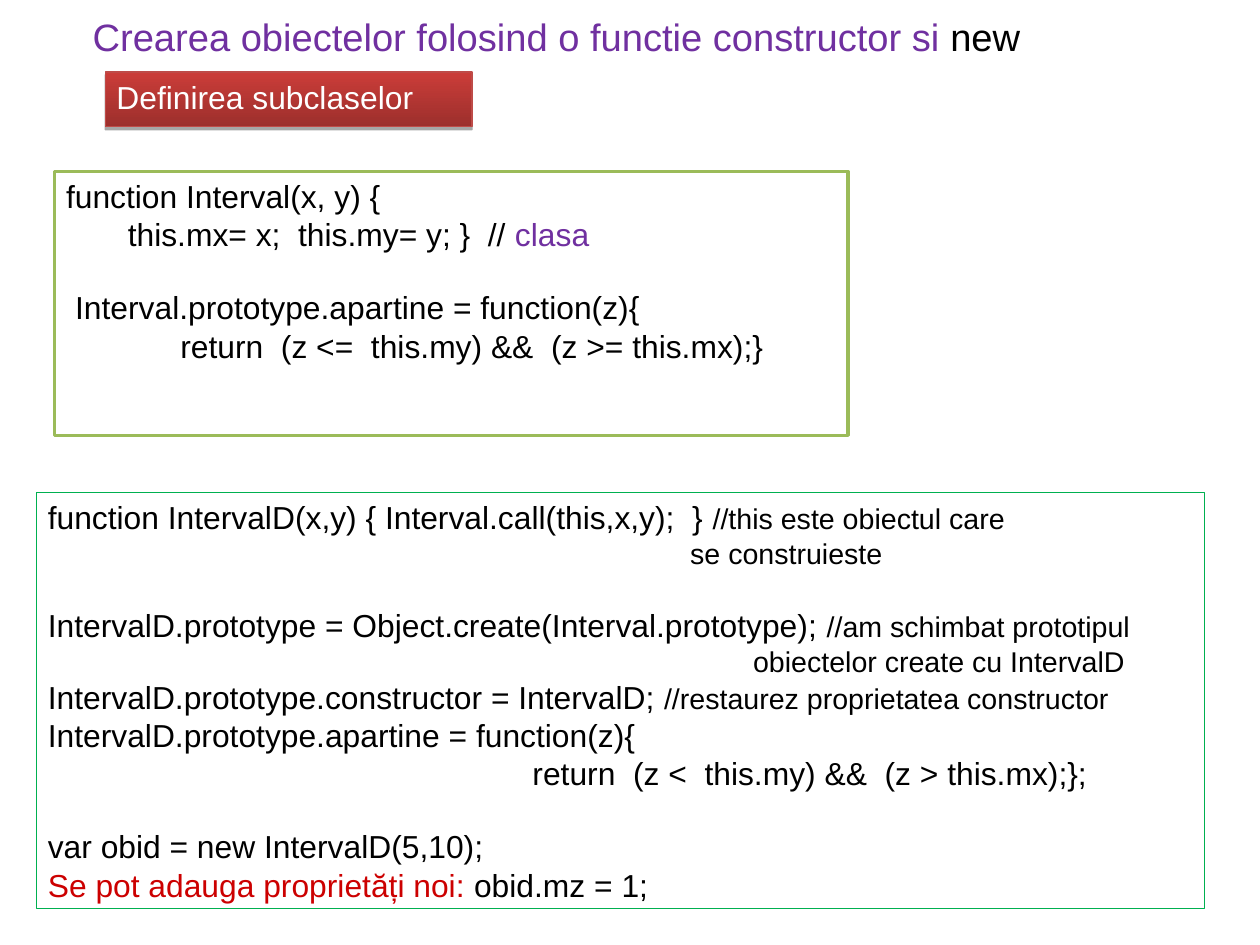
from pptx import Presentation
from pptx import util as u
from pptx.dml.color import RGBColor
from pptx.enum import shapes, text
from pptx.oxml import parse_xml
from pptx.oxml.ns import nsdecls

BLACK, PURPLE, RED, WHITE = "000000", "7030A0", "CC0000", "FFFFFF"
BLANK = 22  # height of an empty line, in points
CM_PER_INCH = 2.54

# Each line: indent in inches, space before in points, runs (text, size, colour)
TITLE = [(0, 0, [("Crearea obiectelor folosind o functie constructor si ", 24, PURPLE),
                 ("new", 24, BLACK)])]
SUBTITLE = [(0, 0, [("Definirea subclaselor", 20, WHITE)])]
BASE_CLASS = [
    (0, 0, [("function Interval(x, y) {", 20, BLACK)]),
    (0.54, 0, [("this.mx= x;  this.my= y; }  // ", 20, BLACK), ("clasa", 20, PURPLE)]),
    (0.08, BLANK, [("Interval.prototype.apartine = function(z){", 20, BLACK)]),
    (1.0, 0, [("return  (z <=  this.my) &&  (z >= this.mx);}", 20, BLACK)]),
]
SUBCLASS = [
    (0, 0, [("function IntervalD(x,y) { Interval.call(this,x,y);  } ", 20, BLACK),
            ("//this este obiectul care", 18, BLACK)]),
    (5.62, 0, [("se construieste", 18, BLACK)]),
    (0, BLANK, [("IntervalD.prototype = Object.create(Interval.prototype); ", 20, BLACK),
                ("//am schimbat prototipul", 18, BLACK)]),
    (6.17, 0, [("obiectelor create cu IntervalD", 18, BLACK)]),
    (0, 0, [("IntervalD.prototype.constructor = IntervalD; ", 20, BLACK),
            ("//restaurez proprietatea constructor", 18, BLACK)]),
    (0, 0, [("IntervalD.prototype.apartine = function(z){", 20, BLACK)]),
    (4.24, 0, [("return  (z <  this.my) &&  (z > this.mx);};", 20, BLACK)]),
    (0, BLANK, [("var obid = new IntervalD(5,10);", 20, BLACK)]),
    (0, 0, [("Se pot adauga proprietăți noi:", 20, RED), (" obid.mz = 1;", 20, BLACK)]),
]

FRAME_FORMAT = {
    "word_wrap": True,
    "auto_size": text.MSO_AUTO_SIZE.NONE,
    "vertical_anchor": text.MSO_ANCHOR.TOP,
    "margin_left": u.Inches(0.1),
    "margin_right": u.Inches(0.1),
    "margin_top": u.Inches(0.05),
    "margin_bottom": u.Inches(0.05),
}


def paint(color_format, hex_color):
    color_format.rgb = RGBColor.from_string(hex_color)


def apply_format(target, values):
    for name, value in values.items():
        setattr(target, name, value)


def write_lines(frame, lines):
    apply_format(frame, FRAME_FORMAT)
    for number, (indent, gap, runs) in enumerate(lines):
        line = frame.add_paragraph() if number else frame.paragraphs[0]
        apply_format(line, {"alignment": text.PP_ALIGN.LEFT,
                            "space_before": u.Pt(gap)})
        properties = line._p.get_or_add_pPr()
        properties.set("marL", str(u.Inches(indent)))
        properties.set("indent", "0")
        for words, size, color in runs:
            run = line.add_run()
            run.text = words
            apply_format(run.font, {"name": "Arial", "size": u.Pt(size)})
            paint(run.font.color, color)


def add_title(slide, at, lines):
    title = slide.shapes.title
    places = map(u.Inches, at)
    apply_format(title, dict(zip(("left", "top", "width", "height"), places)))
    write_lines(title.text_frame, lines)


def add_box(slide, at, border, border_width, lines):
    box = slide.shapes.add_shape(shapes.MSO_SHAPE.RECTANGLE, *map(u.Inches, at))
    box.shadow.inherit = False
    box.fill.background()
    paint(box.line.color, border)
    box.line.width = u.Pt(border_width)
    write_lines(box.text_frame, lines)
    return box


def add_gradient(box, bottom, top):
    box.fill.gradient()
    box.fill.gradient_angle = 90
    for stop, color in zip(box.fill.gradient_stops, (bottom, top)):
        paint(stop.color, color)


def add_drop_shadow(box):
    effects = box._element.spPr.find(".//{*}effectLst")
    effects.append(parse_xml(
        f'<a:outerShdw {nsdecls("a")} blurRad="0" dist="{u.Pt(1.8)}" dir="5400000"'
        ' rotWithShape="0"><a:srgbClr val="000000"><a:alpha val="35000"/>'
        '</a:srgbClr></a:outerShdw>'))


def main():
    # Slide of 28 by 21 cm
    deck = Presentation()
    deck.slide_width = u.Inches(28 / CM_PER_INCH)
    deck.slide_height = u.Inches(21 / CM_PER_INCH)
    slide = deck.slides.add_slide(deck.slide_layouts[5])

    # Title and red subtitle bar
    add_title(slide, (0.71, 0.07, 10, 0.5), TITLE)
    subtitle = add_box(slide, (0.92, 0.63, 3.21, 0.48), "BE4B48", 0.75, SUBTITLE)
    add_gradient(subtitle, "9C2F2C", "CB3D39")
    add_drop_shadow(subtitle)

    # Code of the base class
    base_class = add_box(slide, (0.48, 1.5, 6.94, 2.31), "9BBB59", 2, BASE_CLASS)
    base_class.fill.solid()
    paint(base_class.fill.fore_color, WHITE)

    # Code of the subclass
    add_box(slide, (0.32, 4.31, 10.22, 3.64), "00B050", 0, SUBCLASS)

    deck.save("out.pptx")


if __name__ == "__main__":
    main()
